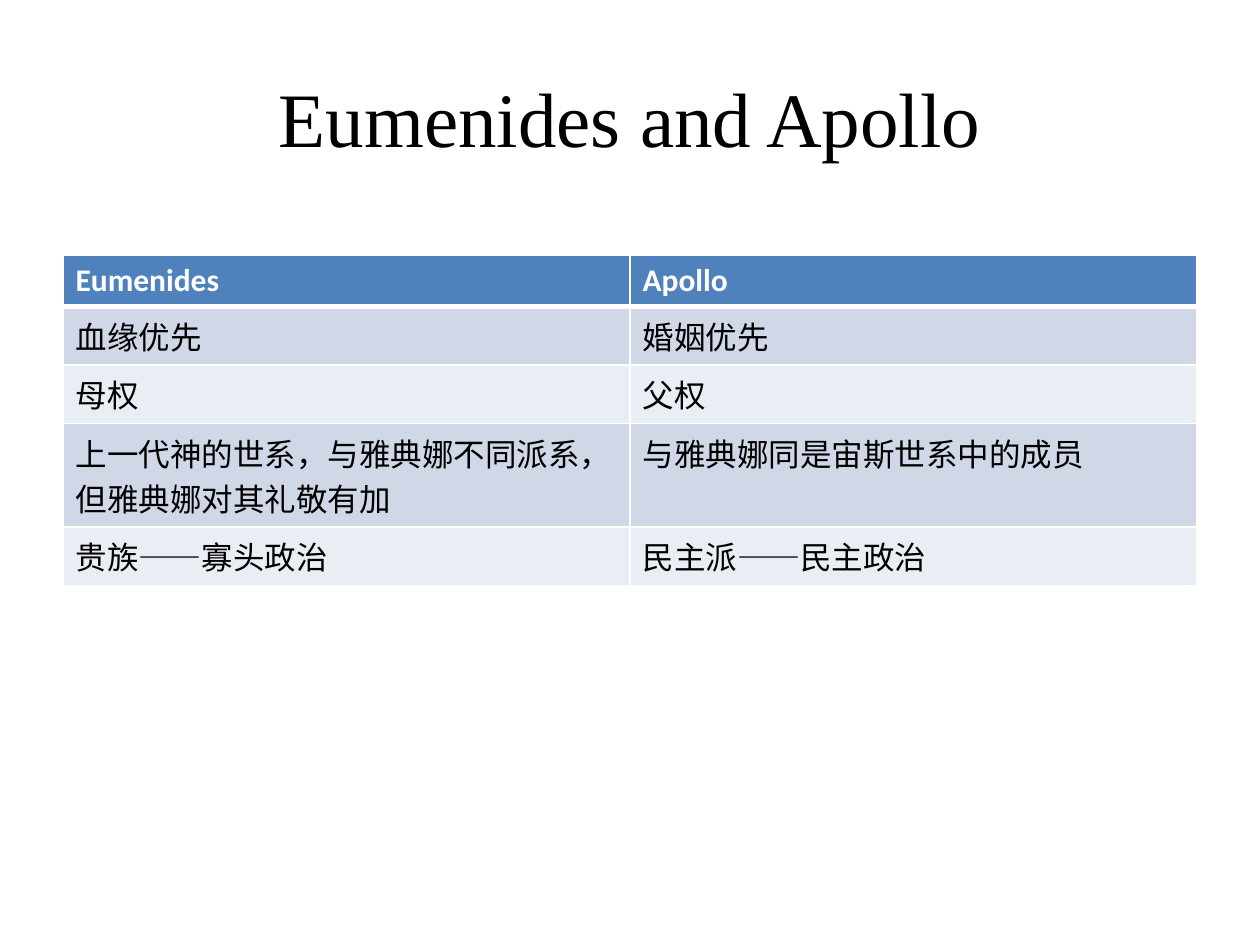
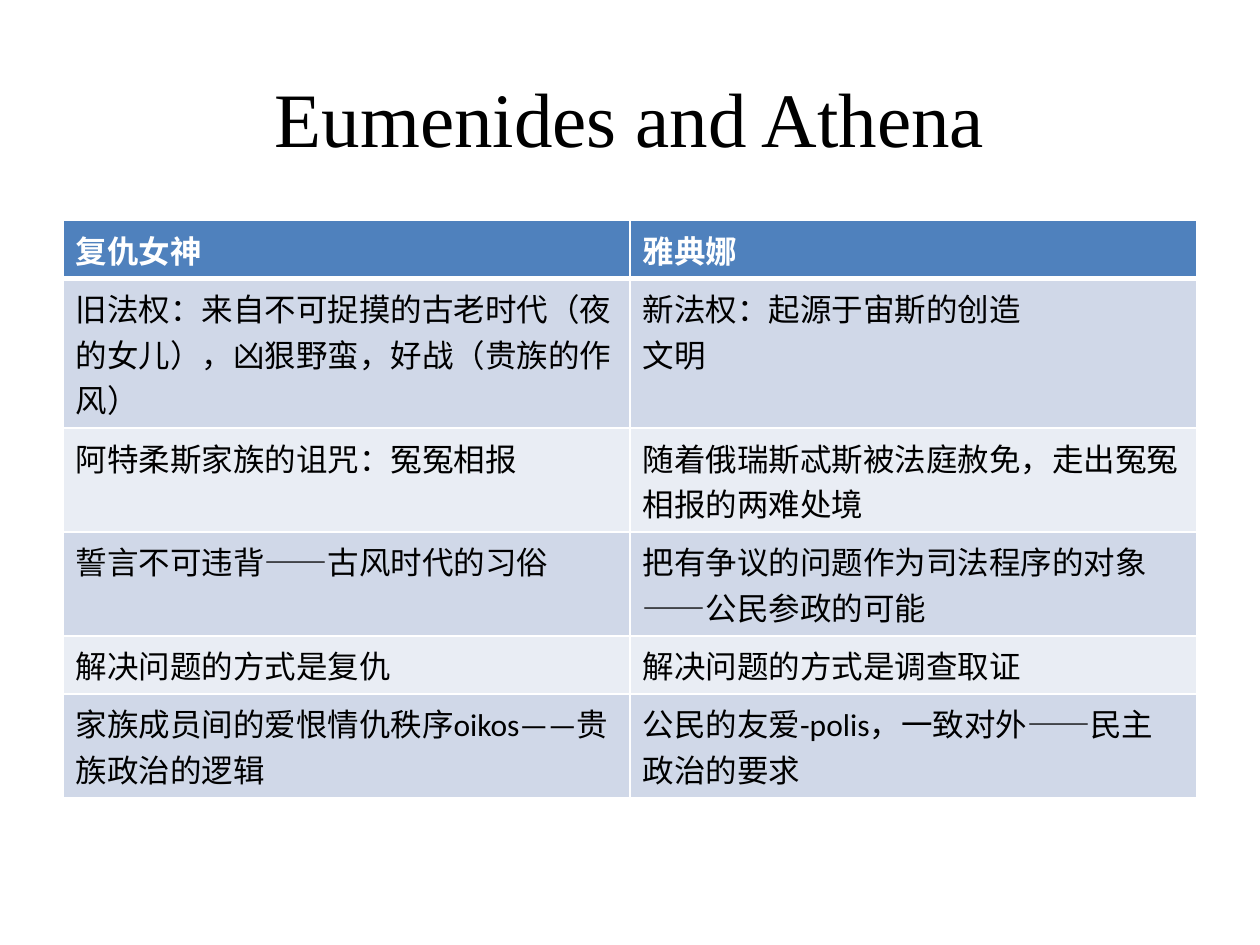
from lxml import etree
from pptx import Presentation
from pptx.dml.color import RGBColor
from pptx.enum.lang import MSO_LANGUAGE_ID
from pptx.enum.text import MSO_ANCHOR, PP_ALIGN
from pptx.oxml.ns import qn
from pptx.util import Inches, Pt

CHINESE = MSO_LANGUAGE_ID.SIMPLIFIED_CHINESE
MIDDLE = MSO_ANCHOR.MIDDLE
LEFT, CENTER = PP_ALIGN.LEFT, PP_ALIGN.CENTER

WIDE, HIGH = Inches(10), Inches(7.5)
ROW = Inches(0.41)
TITLE_ONLY = 5
BLACK, WHITE = "000000", "FFFFFF"
HEAD, BANDS = "4F81BD", ("D0D8E8", "E9EDF4")
TITLE_BOX = (0.05, 0.04, 0.9, 1 / 6)

APOLLO = [
    ("Eumenides", "Apollo"),
    ("血缘优先", "婚姻优先"),
    ("母权", "父权"),
    ("上一代神的世系，与雅典娜不同派系，但雅典娜对其礼敬有加",
     "与雅典娜同是宙斯世系中的成员"),
    ("贵族——寡头政治", "民主派——民主政治"),
]
ATHENA = [
    ("复仇女神", "雅典娜"),
    ("旧法权：来自不可捉摸的古老时代（夜的女儿），凶狠野蛮，好战（贵族的作风）",
     "新法权：起源于宙斯的创造\n文明"),
    ("阿特柔斯家族的诅咒：冤冤相报",
     "随着俄瑞斯忒斯被法庭赦免，走出冤冤相报的两难处境"),
    ("誓言不可违背——古风时代的习俗",
     "把有争议的问题作为司法程序的对象——公民参政的可能"),
    ("解决问题的方式是复仇", "解决问题的方式是调查取证"),
    ("家族成员间的爱恨情仇秩序oikos——贵族政治的逻辑",
     "公民的友爱-polis，一致对外——民主政治的要求"),
]


def color(code):
    return RGBColor.from_string(code)


def write(frame, text, size=18, font="Calibri", ink=BLACK, bold=False, align=LEFT):
    frame.text = text
    for para in frame.paragraphs:
        para.alignment = align
        for run in para.runs:
            face = run.font
            face.size, face.name, face.bold = Pt(size), font, bold
            face.color.rgb = color(ink)
            face.language_id = CHINESE


def place(box):
    """Turn shares of the slide into lengths."""
    return [round(part * side) for part, side in zip(box, (WIDE, HIGH) * 2)]


def edge(cell, top, bottom):
    """Draw white borders; call before the fill, which must follow them."""
    props = cell._tc.get_or_add_tcPr()
    for side, width in (("L", 1), ("R", 1), ("T", top), ("B", bottom)):
        line = etree.SubElement(props, qn(f"a:ln{side}"), w=str(Pt(width)))
        fill = etree.SubElement(line, qn("a:solidFill"))
        etree.SubElement(fill, qn("a:srgbClr"), val=WHITE)


def add_title(slide, text):
    title = slide.shapes.title
    title.left, title.top, title.width, title.height = place(TITLE_BOX)
    title.text_frame.vertical_anchor = MIDDLE
    write(title.text_frame, text, size=44, font="Times New Roman", align=CENTER)


def add_grid(slide, rows, box):
    left, top, width, _ = place(box)
    count = len(rows[0])
    grid = slide.shapes.add_table(
        len(rows), count, left, top, width, ROW * len(rows)).table
    for col in grid.columns:
        col.width = width // count
    for r, texts in enumerate(rows):
        grid.rows[r].height = ROW
        head = r == 0
        for c, text in enumerate(texts):
            cell = grid.cell(r, c)
            edge(cell, top=3 if r == 1 else 1, bottom=3 if head else 1)
            cell.fill.solid()
            cell.fill.fore_color.rgb = color(HEAD if head else BANDS[(r - 1) % 2])
            write(cell.text_frame, text, ink=WHITE if head else BLACK, bold=head)


def add_contrast(deck, title, rows, top):
    """Add a slide that sets two sides against each other in a table."""
    slide = deck.slides.add_slide(deck.slide_layouts[TITLE_ONLY])
    add_title(slide, title)
    add_grid(slide, rows, (0.05, top, 0.9, 1 - top))


def main():
    deck = Presentation()
    deck.slide_width, deck.slide_height = WIDE, HIGH
    add_contrast(deck, "Eumenides and Apollo", APOLLO, top=0.27)
    add_contrast(deck, "Eumenides and Athena", ATHENA, top=7 / 30)
    deck.save("out.pptx")


if __name__ == "__main__":
    main()
